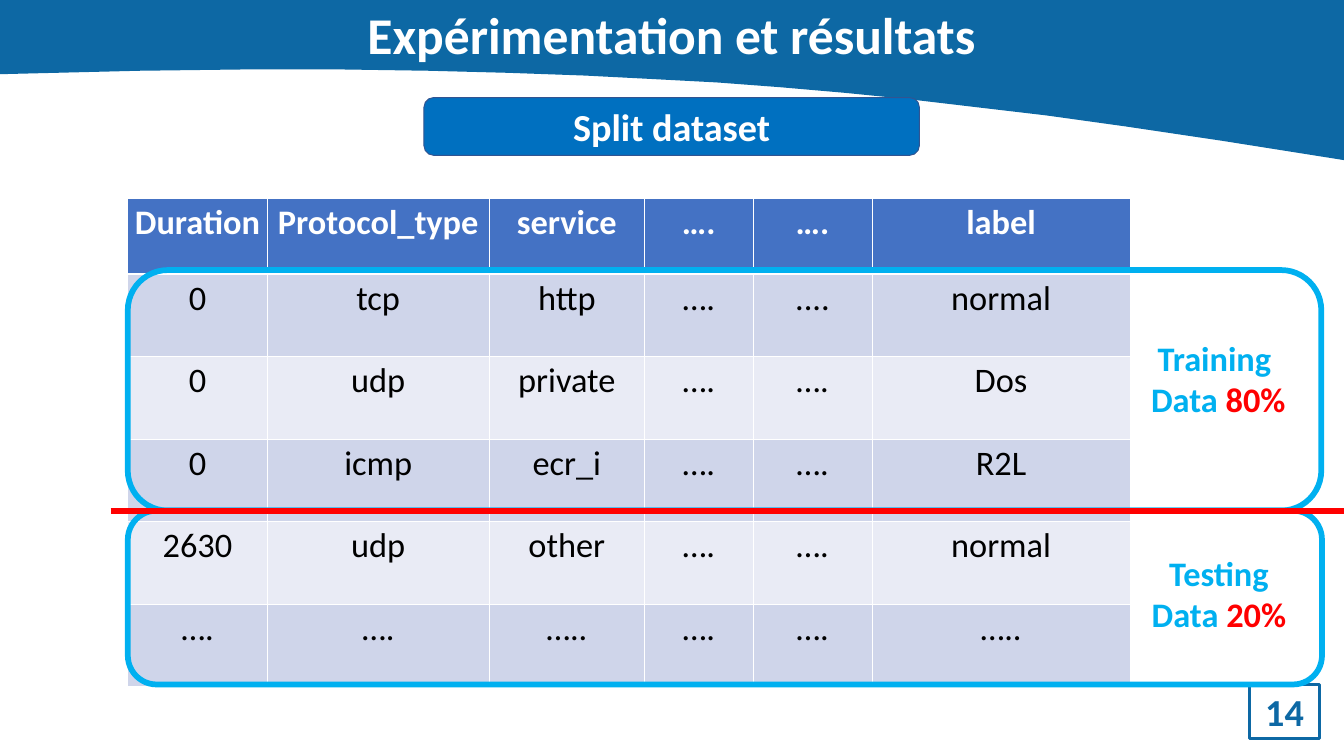
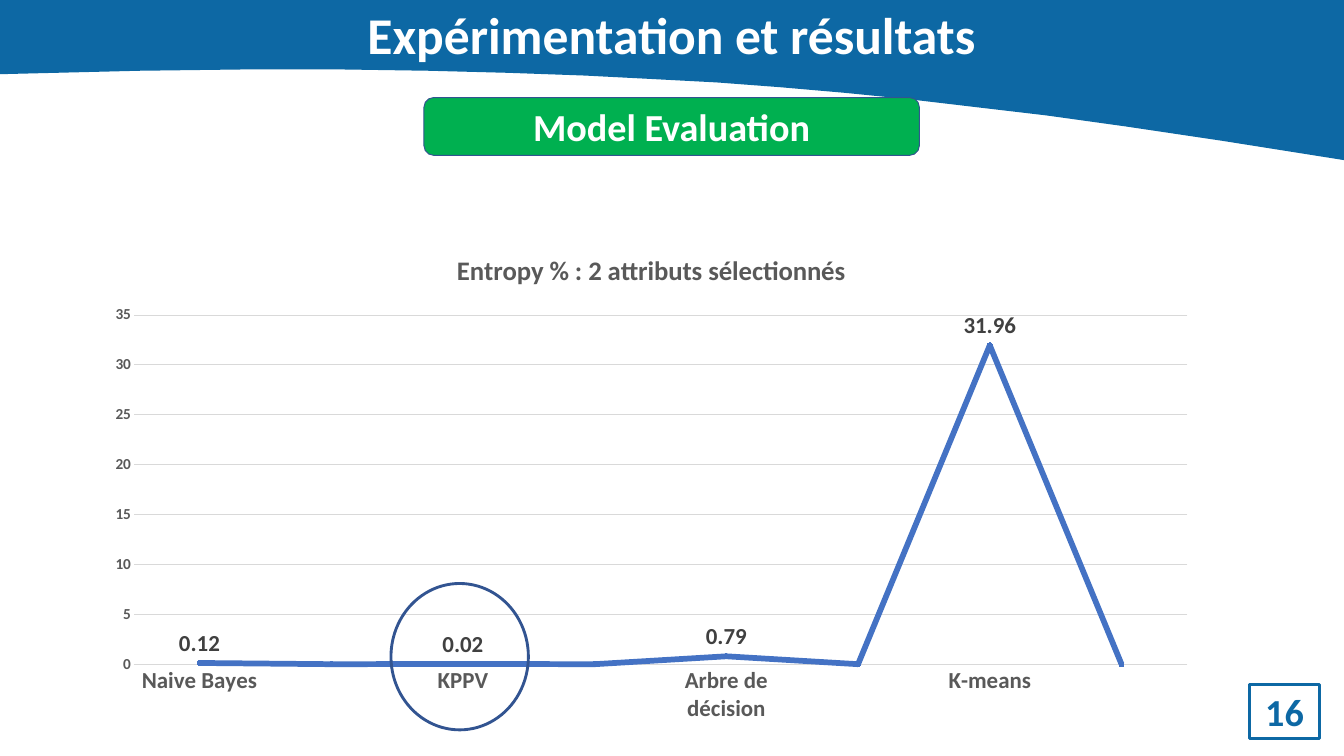
import pptx
import pptx.chart.data
import pptx.dml.color
import pptx.enum.chart
import pptx.enum.shapes
import pptx.enum.text
import pptx.oxml
import pptx.oxml.ns
import pptx.util

Inches, Pt = pptx.util.Inches, pptx.util.Pt
SHAPE = pptx.enum.shapes.MSO_SHAPE
CENTER = pptx.enum.text.PP_ALIGN.CENTER
MIDDLE = pptx.enum.text.MSO_ANCHOR.MIDDLE

FONT = "Calibri"
BRAND = "0D68A4"
WHITE = "FFFFFF"
ACCENT = "4472C4"
OUTLINE = "325491"
CYAN = "00B0F0"
RED = "FF0000"
GRAY = "595959"
PALE = "D9D9D9"


def color(target, hex_value):
    """Give a font, fill or line a solid colour."""
    if hasattr(target, "solid"):
        target.solid()
        target.fore_color.rgb = pptx.dml.color.RGBColor.from_string(hex_value)
    else:
        target.color.rgb = pptx.dml.color.RGBColor.from_string(hex_value)


def style(font, size, hex_value, bold=True):
    font.name, font.size, font.bold = FONT, Pt(size), bold
    color(font, hex_value)


deck = pptx.Presentation()
deck.slide_width, deck.slide_height = Inches(19.56), Inches(11)
layout = deck.slide_layouts[5]

# Shared parts: title, section tag, page number
pages = [("14", "Split dataset", "0070C0"), ("16", "Model Evaluation", "00B050")]
slides = []
for number, section, section_color in pages:
    slide = deck.slides.add_slide(layout)
    slides.append(slide)

    title = slide.shapes.title
    title.left, title.top = Inches(3.83), Inches(0)
    title.width, title.height = Inches(11.89), Inches(1.01)
    title.text_frame.text = "Expérimentation et résultats"
    title.text_frame.vertical_anchor = pptx.enum.text.MSO_ANCHOR.TOP
    title.text_frame.auto_size = pptx.enum.text.MSO_AUTO_SIZE.SHAPE_TO_FIT_TEXT

    page_box = slide.shapes.add_shape(
        SHAPE.RECTANGLE, Inches(18.18), Inches(9.96), Inches(1.03), Inches(0.78))
    page_box.fill.background()
    color(page_box.line, BRAND)
    page_box.line.width = Pt(3)
    page_box.text_frame.text = number

    tag = slide.shapes.add_shape(
        SHAPE.ROUNDED_RECTANGLE, Inches(6.17), Inches(1.42), Inches(7.21), Inches(0.84))
    color(tag.fill, section_color)
    color(tag.line, OUTLINE)
    tag.line.width = Pt(1)
    tag.text_frame.text = section

    for part, size, text_color in [(title, 54, WHITE), (page_box, 40, BRAND), (tag, 40, WHITE)]:
        paragraph = part.text_frame.paragraphs[0]
        paragraph.alignment = CENTER
        style(paragraph.runs[0].font, size, text_color)
    for part in (page_box, tag):
        part.shadow.inherit = False
        part.text_frame.vertical_anchor = MIDDLE

split_slide, evaluation_slide = slides

# Curved header band, moved to the layout so that both slides share it
curve = [(4.35, 1.01), (4.9, 1.01), (6.24, 1.03), (7.39, 1.06), (8.51, 1.1), (9.48, 1.15),
         (10.43, 1.2), (11.36, 1.27), (12.28, 1.35), (13.19, 1.44), (14.21, 1.56),
         (15.23, 1.68), (16.38, 1.84), (17.79, 2.05), (19.56, 2.33)]
top_strip = [(0, 0), (0, 1.08), (2.03, 1.03), (3.64, 1.01), (19.56, 1.01)]
outline = split_slide.shapes.build_freeform(Inches(19.56), Inches(1.01))
outline.add_line_segments([(Inches(x), Inches(y)) for x, y in curve])
outline.move_to(Inches(19.56), Inches(0))
outline.add_line_segments([(Inches(x), Inches(y)) for x, y in top_strip])
band = outline.convert_to_shape()
color(band.fill, BRAND)
band.line.fill.background()
band.shadow.inherit = False
layout.shapes.element.insert(2, band.element)

# Dataset table
records = [
    ["Duration", "Protocol_type", "service", "….", "….", "label"],
    ["0", "tcp", "http", "….", "....", "normal"],
    ["0", "udp", "private", "….", "….", "Dos"],
    ["0", "icmp", "ecr_i", "….", "….", "R2L"],
    ["2630", "udp", "other", "….", "….", "normal"],
    ["….", "….", "…..", "….", "….", "….."],
]
column_widths = [2.03, 3.23, 2.26, 1.58, 1.73, 3.76]
dataset = split_slide.shapes.add_table(
    len(records), len(column_widths), Inches(1.86), Inches(2.88), Inches(14.59), Inches(7.11)).table
for column, width in zip(dataset.columns, column_widths):
    column.width = Inches(width)
for r, record in enumerate(records):
    dataset.rows[r].height = Inches(1.2 if r else 1.11)
    for c, value in enumerate(record):
        cell = dataset.cell(r, c)
        cell.text_frame.text = value
        paragraph = cell.text_frame.paragraphs[0]
        paragraph.alignment = CENTER
        style(paragraph.runs[0].font, 36, "000000" if r else WHITE, bold=r == 0)
        color(cell.fill, ACCENT if r == 0 else "CFD5EA" if r % 2 else "E9EBF5")
        for i, side in enumerate("LRTB"):
            thick = (r == 0 and side == "B") or (r == 1 and side == "T")
            border = pptx.oxml.parse_xml(
                f'<a:ln{side} {pptx.oxml.ns.nsdecls("a")} w="{Pt(3 if thick else 1)}">'
                f'<a:solidFill><a:srgbClr val="{WHITE}"/></a:solidFill></a:ln{side}>')
            cell._tc.get_or_add_tcPr().insert(i, border)

# Training and testing frames with their labels
frames = [
    (3.93, 17.37, 3.5, 16.64, 4.85, "Training ", "80%"),
    (7.43, 17.38, 2.53, 16.65, 7.98, "Testing", "20%"),
]
for top, width, height, _, _, _, _ in frames:
    frame = split_slide.shapes.add_shape(
        SHAPE.ROUNDED_RECTANGLE, Inches(1.86), Inches(top), Inches(width), Inches(height))
    frame.fill.background()
    color(frame.line, CYAN)
    frame.line.width = Pt(6)
    frame.shadow.inherit = False
for _, _, _, left, top, subset, share in frames:
    label = split_slide.shapes.add_textbox(Inches(left), Inches(top), Inches(2.18), Inches(1.31))
    label.text_frame.word_wrap = True
    label.text_frame.auto_size = pptx.enum.text.MSO_AUTO_SIZE.SHAPE_TO_FIT_TEXT
    label.text_frame.text = f"{subset}\nData "
    label.text_frame.paragraphs[1].add_run().text = share
    for paragraph in label.text_frame.paragraphs:
        paragraph.alignment = CENTER
        for run in paragraph.runs:
            style(run.font, 36, RED if run.text == share else CYAN)

# Split line
split_line = split_slide.shapes.add_connector(
    pptx.enum.shapes.MSO_CONNECTOR.STRAIGHT, Inches(1.61), Inches(7.43), Inches(19.56), Inches(7.43))
color(split_line.line, RED)
split_line.line.width = Pt(6)
split_line.element.spPr.append(
    pptx.oxml.parse_xml(f'<a:effectLst {pptx.oxml.ns.nsdecls("a")}/>'))

# Entropy chart
entropy_title = "Entropy % : 2 attributs sélectionnés"
entropy = pptx.chart.data.CategoryChartData()
entropy.categories = ["Naive Bayes", "", "KPPV", "", "Arbre de décision", "", "K-means", ""]
entropy.add_series(entropy_title, [0.12, None, 0.02, None, 0.79, None, 31.96, None])
chart = evaluation_slide.shapes.add_chart(
    pptx.enum.chart.XL_CHART_TYPE.LINE_MARKERS_STACKED,
    Inches(1.36), Inches(3.4), Inches(16.23), Inches(7.26), entropy).chart
style(chart.font, 10, "000000", bold=False)
chart.has_legend = False
chart.has_title = True
chart.chart_title.text_frame.text = entropy_title
chart.chart_title.include_in_layout = False
style(chart.chart_title.text_frame.paragraphs[0].runs[0].font, 28, GRAY)

methods, percent = chart.category_axis, chart.value_axis
for axis, size in [(methods, 24), (percent, 16)]:
    axis.major_tick_mark = axis.minor_tick_mark = pptx.enum.chart.XL_TICK_MARK.NONE
    style(axis.tick_labels.font, size, GRAY)
percent.minimum_scale, percent.maximum_scale, percent.major_unit = 0, 35, 5
percent.format.line.fill.background()
percent.has_major_gridlines = True
for rule in (methods.format.line, percent.major_gridlines.format.line):
    color(rule, PALE)
    rule.width = Pt(0.75)

chart.plots[0].vary_by_categories = False
curve_series = chart.plots[0].series[0]
curve_series.smooth = False
color(curve_series.format.line, ACCENT)
curve_series.format.line.width = Pt(6)
curve_series.marker.style = pptx.enum.chart.XL_MARKER_STYLE.CIRCLE
curve_series.marker.size = 5
color(curve_series.marker.format.fill, ACCENT)
color(curve_series.marker.format.line, ACCENT)

value_labels = curve_series.data_labels
value_labels.show_value = True
value_labels.position = pptx.enum.chart.XL_LABEL_POSITION.ABOVE
style(value_labels.font, 24, "404040")

# Gaps count as zero and carry no label; the plot area has a fixed place
chart_ns = pptx.oxml.ns.nsdecls("c")
label_list = curve_series._element.xpath("c:dLbls")[0]
for position, index in enumerate((1, 3, 5, 7)):
    label_list.insert(position, pptx.oxml.parse_xml(
        f'<c:dLbl {chart_ns}><c:idx val="{index}"/><c:delete val="1"/></c:dLbl>'))
for blanks in chart.element.xpath(".//c:dispBlanksAs"):
    blanks.set("val", "zero")
plot_area = chart.element.xpath(".//c:plotArea")[0]
for automatic in plot_area.xpath("c:layout"):
    plot_area.remove(automatic)
place = "".join(f'<c:{key} val="{value}"/>' for key, value in [
    ("layoutTarget", "inner"), ("xMode", "edge"), ("yMode", "edge"),
    ("x", 0.036), ("y", 0.163), ("w", 0.945), ("h", 0.7)])
plot_area.insert(0, pptx.oxml.parse_xml(
    f"<c:layout {chart_ns}><c:manualLayout>{place}</c:manualLayout></c:layout>"))

# Ring around the best result
best_ring = evaluation_slide.shapes.add_shape(
    SHAPE.OVAL, Inches(5.69), Inches(8.49), Inches(2), Inches(2.13))
best_ring.fill.background()
color(best_ring.line, OUTLINE)
best_ring.line.width = Pt(3)
best_ring.shadow.inherit = False

deck.save("out.pptx")
